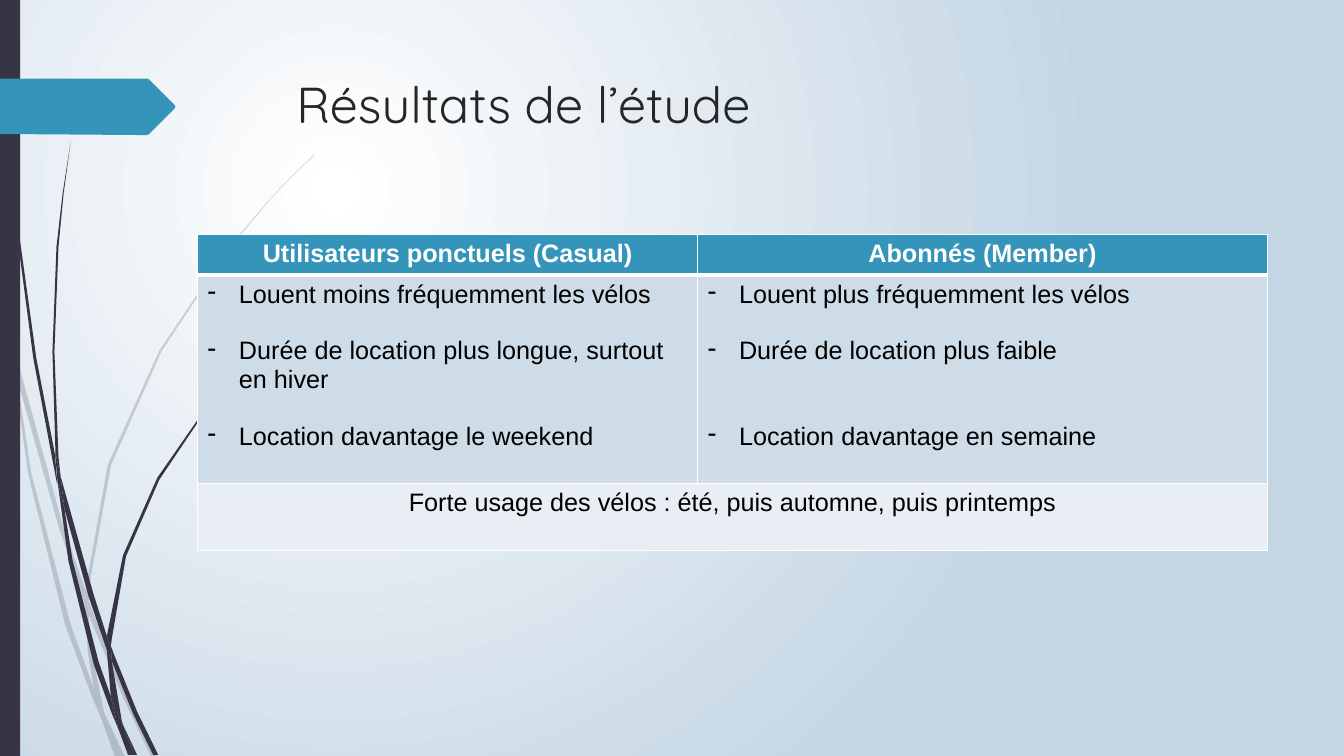
"""Builds the slide that compares casual users and members of a bike rental service."""
import itertools
from dataclasses import dataclass
from typing import Any

import lxml.etree
import pptx
import pptx.dml.color
import pptx.enum.shapes
import pptx.enum.text
import pptx.oxml.ns
import pptx.util

CELL = pptx.util.Inches(0.01)
COLUMNS, ROWS = 1333, 750
DARK, BLUE, WHITE, BLACK, TITLE = "373545", "3494BA", "FFFFFF", "000000", "262626"
HEADER, BODY, SUMMARY = BLUE, "CEDCE7", "E8EEF3"
LEFT, CENTER = pptx.enum.text.PP_ALIGN.LEFT, pptx.enum.text.PP_ALIGN.CENTER
LINE = 20.5


@dataclass(frozen=True)
class Grass:
    color: str
    opacity: int
    blades: tuple[str, ...]


@dataclass(frozen=True)
class Finding:
    text: str
    gap: float = 0
    dashed: bool = True


@dataclass(frozen=True)
class Entry:
    row: int
    column: int
    findings: tuple[Finding, ...]
    fill: str
    color: str = BLACK
    bold: bool = False
    align: Any = LEFT


PALE_GRASS = Grass(DARK, 20, (
    "11,350 9,322 0,282 0,299 10,344",
    "58,522 84,599 85,586 62,520 14,345 17,376",
    "92,607 88,596 88,610 123,694 150,751 155,751 127,692",
    "119,751 124,751 105,711",
    "93,683 70,619 31,469 17,376 11,350 28,470 65,621 92,693 101,714 99,707",
    "84,599 87,646 93,683 96,692 105,711 103,706 91,646 88,610 88,608",
    "88,584 110,462 160,349 229,245 268,198 290,175 312,154 312,153 289,175 268,197 228,244 158,348 "
    "107,461 85,584 85,586 88,596",
    "101,714 114,751 119,751",
    "88,608 88,610 88,596 85,586 84,599",
    "96,692 93,683 99,707 101,714 119,751 105,711",
))
DARK_GRASS = Grass(DARK, 100, (
    "7,110 17,233 33,355 56,477 57,481 55,457 55,453 36,355 19,232 8,109 5,48 4,0 3,0 4,48",
    "88,592 106,645 106,633 106,631 93,590 60,472 64,505",
    "113,649 110,641 111,656 132,708 152,749 157,749 136,706",
    "110,691 98,657 72,556 64,505 57,477 68,557 93,659 111,708 117,722 116,717",
    "60,472 58,453 54,349 58,245 63,193 70,141 62,193 56,245 52,349 55,449",
    "133,749 136,749 122,719",
    "57,477 64,505 60,472 55,449 55,453",
    "111,633 125,552 158,476 205,406 231,374 245,359 261,344 260,344 245,358 231,373 204,405 156,474 "
    "122,551 106,631 110,641",
    "117,722 127,749 131,749",
    "106,645 110,691 116,706 122,719 121,716 111,656 109,651",
    "106,645 109,651 111,656 110,641 106,631 106,633",
    "116,706 110,691 116,717 117,722 130,749 133,749 122,719",
))
ARROW = "173,108 148,133 146,134 136,134 0,133 0,78 136,78 146,78 148,79 173,104 174,106"

COLUMN_WIDTHS, ROW_HEIGHTS = (496, 565), (40, 207, 66)
ENTRIES = (
    Entry(0, 0, (Finding("Utilisateurs ponctuels (Casual)", dashed=False),), HEADER, WHITE, True, CENTER),
    Entry(0, 1, (Finding("Abonnés (Member)", dashed=False),), HEADER, WHITE, True, CENTER),
    Entry(1, 0, (Finding("Louent moins fréquemment les vélos"),
                 Finding("Durée de location plus longue, surtout en hiver", LINE),
                 Finding("Location davantage le weekend", LINE)), BODY),
    Entry(1, 1, (Finding("Louent plus fréquemment les vélos"),
                 Finding("Durée de location plus faible", LINE),
                 Finding("Location davantage en semaine", 2 * LINE)), BODY),
    Entry(2, 0, (Finding("Forte usage des vélos : été, puis automne, puis printemps", dashed=False),),
          SUMMARY, align=CENTER),
)


def rgb(color: str) -> pptx.dml.color.RGBColor:
    return pptx.dml.color.RGBColor.from_string(color)


def apply(target: Any, values: dict[str, Any]) -> None:
    for attribute, value in values.items():
        setattr(target, attribute, value)


def add_xml(parent: Any, tag: str, **attributes: Any) -> Any:
    texts = {key: str(value) for key, value in attributes.items()}
    return lxml.etree.SubElement(parent, pptx.oxml.ns.qn(tag), texts)


def paint(part: Any, color: str, opacity: int = 100) -> None:
    part.shadow.inherit = False
    part.line.fill.background()
    part.fill.solid()
    part.fill.fore_color.rgb = rgb(color)
    if opacity < 100:
        solid = part._element.spPr.find(pptx.oxml.ns.qn("a:solidFill"))
        add_xml(solid[0], "a:alpha", val=opacity * 1000)


def draw_outline(shapes: Any, outline: str, color: str, opacity: int = 100) -> None:
    start, *rest = [tuple(map(int, pair.split(","))) for pair in outline.split()]
    builder = shapes.build_freeform(*start, scale=float(CELL))
    builder.add_line_segments(rest, close=True)
    paint(builder.convert_to_shape(), color, opacity)


def paint_background(slide: Any) -> None:
    fill = slide.background.fill
    fill.gradient()
    for stop, position, color in zip(fill.gradient_stops, (0, 1), (WHITE, "C4D5E4")):
        stop.position = position
        stop.color.rgb = rgb(color)
    gradient = next(slide._element.iter(pptx.oxml.ns.qn("a:gradFill")))
    gradient.remove(gradient.find(pptx.oxml.ns.qn("a:lin")))
    radial = add_xml(gradient, "a:path", path="circle")
    add_xml(radial, "a:fillToRect", l=50000, t=50000, r=100000, b=100000)


def write(paragraph: Any, text: str, color: str, **font: Any) -> None:
    run = paragraph.add_run()
    run.text = text
    apply(run.font, font)
    run.font.color.rgb = rgb(color)


def set_title(slide: Any) -> None:
    title = slide.shapes.title
    slide.shapes._spTree.append(title._element)
    apply(title, dict(left=284 * CELL, top=68 * CELL, width=975 * CELL, height=140 * CELL))
    apply(title.text_frame, dict(word_wrap=True, auto_size=pptx.enum.text.MSO_AUTO_SIZE.NONE,
                                 vertical_anchor=pptx.enum.text.MSO_ANCHOR.TOP))
    heading = title.text_frame.paragraphs[0]
    heading.alignment = LEFT
    write(heading, "Résultats de l’étude", TITLE, name="Quicksand", size=pptx.util.Pt(36), bold=False)


def style_cell(cell: Any, row: int, fill: str) -> None:
    properties = cell._tc.get_or_add_tcPr()
    thick = {(0, "B"), (1, "T")}
    for side in "LRTB":
        width = pptx.util.Pt(3 if (row, side) in thick else 1)
        border = add_xml(properties, f"a:ln{side}", w=int(width))
        add_xml(add_xml(border, "a:solidFill"), "a:srgbClr", val=WHITE)
    cell.fill.solid()
    cell.fill.fore_color.rgb = rgb(fill)


def write_entry(cell: Any, entry: Entry) -> None:
    frame = cell.text_frame
    for number, finding in enumerate(entry.findings):
        paragraph = frame.add_paragraph() if number else frame.paragraphs[0]
        apply(paragraph, dict(alignment=entry.align, space_before=pptx.util.Pt(finding.gap)))
        if finding.dashed:
            properties = paragraph._p.get_or_add_pPr()
            properties.set("marL", str(31 * CELL))
            properties.set("indent", str(-31 * CELL))
            add_xml(properties, "a:buChar", char="-")
        write(paragraph, finding.text, entry.color, name="Arial", size=pptx.util.Pt(18), bold=entry.bold)


def add_comparison(slide: Any) -> None:
    table = slide.shapes.add_table(len(ROW_HEIGHTS), len(COLUMN_WIDTHS), 196 * CELL, 233 * CELL,
                                   sum(COLUMN_WIDTHS) * CELL, sum(ROW_HEIGHTS) * CELL).table
    for column, width in zip(table.columns, COLUMN_WIDTHS):
        column.width = width * CELL
    for row, height in zip(table.rows, ROW_HEIGHTS):
        row.height = height * CELL
    fills = (HEADER, BODY, SUMMARY)
    for row, column in itertools.product(range(len(ROW_HEIGHTS)), range(len(COLUMN_WIDTHS))):
        style_cell(table.cell(row, column), row, fills[row])
    table.cell(2, 0).merge(table.cell(2, 1))
    for entry in ENTRIES:
        write_entry(table.cell(entry.row, entry.column), entry)


def main() -> None:
    deck = pptx.Presentation()
    apply(deck, dict(slide_width=COLUMNS * CELL, slide_height=ROWS * CELL))
    slide = deck.slides.add_slide(deck.slide_layouts[5])
    paint_background(slide)
    for grass in (PALE_GRASS, DARK_GRASS):
        tuft = slide.shapes.add_group_shape()
        for blade in grass.blades:
            draw_outline(tuft.shapes, blade, grass.color, grass.opacity)
    rectangle = pptx.enum.shapes.MSO_SHAPE.RECTANGLE
    paint(slide.shapes.add_shape(rectangle, 0, 0, 20 * CELL, ROWS * CELL), DARK)
    draw_outline(slide.shapes, ARROW, BLUE)
    set_title(slide)
    add_comparison(slide)
    deck.save("out.pptx")


if __name__ == "__main__":
    main()
